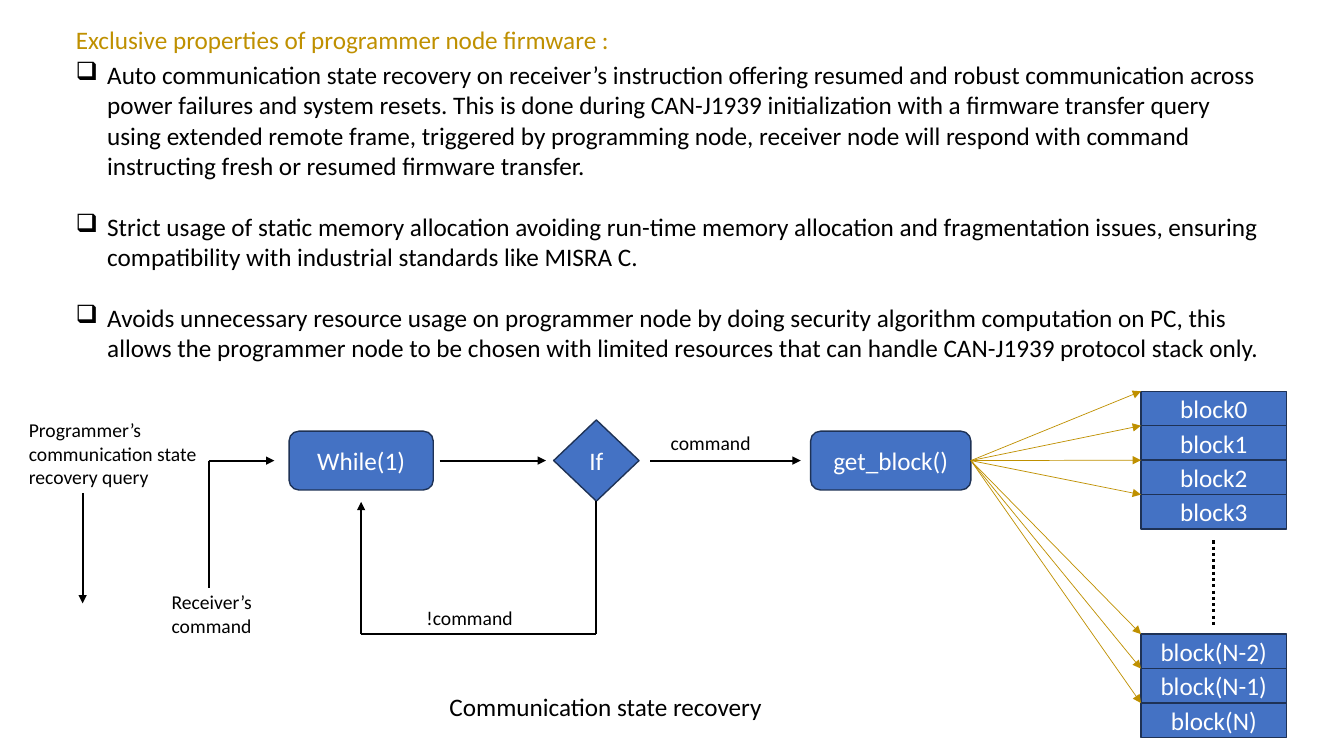
from lxml import etree
from pptx import Presentation
from pptx.dml.color import RGBColor
from pptx.enum.dml import MSO_LINE
from pptx.enum.shapes import MSO_CONNECTOR, MSO_SHAPE
from pptx.enum.text import MSO_ANCHOR as ANCHOR, MSO_AUTO_SIZE as AUTO_SIZE, PP_ALIGN as ALIGN
from pptx.oxml.ns import qn
from pptx.util import Pt

COLORS = {"gold": "BF9000", "black": "000000", "white": "FFFFFF",
          "blue": "4472C4", "navy": "1E3256"}


def write(box, paragraphs, size, color, align=ALIGN.LEFT, anchor=ANCHOR.TOP):
    frame = box.text_frame
    frame.text = "\n".join(paragraphs)
    frame.word_wrap = True
    frame.auto_size = AUTO_SIZE.NONE
    frame.vertical_anchor = anchor
    for para in frame.paragraphs:
        para.alignment = align
        for span in para.runs:
            span.font.name = "Calibri"
            span.font.size = Pt(size)
            span.font.color.rgb = RGBColor.from_string(COLORS[color])


def draw_line(x1, y1, x2, y2, color="black", width=1.5, arrow=True):
    line = page.shapes.add_connector(
        MSO_CONNECTOR.STRAIGHT, Pt(x1), Pt(y1), Pt(x2), Pt(y2))
    line.line.color.rgb = RGBColor.from_string(COLORS[color])
    line.line.width = Pt(width)
    properties = line.element.spPr
    if arrow:
        etree.SubElement(properties.find(qn("a:ln")), qn("a:tailEnd"), type="triangle")
    etree.SubElement(properties, qn("a:effectLst"))
    return line


deck = Presentation()
deck.slide_width, deck.slide_height = Pt(960), Pt(540)
page = deck.slides.add_slide(deck.slide_layouts[5])

# Title
title = page.shapes.title
title.left, title.top, title.width, title.height = Pt(47), Pt(13.5), Pt(479), Pt(29)
write(title, ["Exclusive properties of programmer node firmware :"], 18, "gold")

# Bulleted properties
properties_box = page.shapes.add_textbox(Pt(47), Pt(39), Pt(861), Pt(269))
write(properties_box, [
    "Auto communication state recovery on receiver’s instruction offering resumed and "
    "robust communication across power failures and system resets. This is done during "
    "CAN-J1939 initialization with a firmware transfer query using extended remote frame, "
    "triggered by programming node, receiver node will respond with command instructing "
    "fresh or resumed firmware transfer.",
    "Strict usage of static memory allocation avoiding run-time memory allocation and "
    "fragmentation issues, ensuring compatibility with industrial standards like MISRA C.",
    "Avoids unnecessary resource usage on programmer node by doing security algorithm "
    "computation on PC, this allows the programmer node to be chosen with limited "
    "resources that can handle CAN-J1939 protocol stack only.",
], 18, "black")
for index, para in enumerate(properties_box.text_frame.paragraphs):
    layout = para._p.get_or_add_pPr()
    layout.set("marL", str(Pt(22.5)))
    layout.set("indent", str(-Pt(22.5)))
    etree.SubElement(layout, qn("a:buChar"), char="❑")
    if index:
        para.space_before = Pt(21.8)

# Flow steps and memory blocks: parent, preset, label, left, top, width, height
FLOW_Y = 329
BLOCK_LEFT, BLOCK_WIDTH, BLOCK_HEIGHT = 815, 104, 24.6
block_groups = [(279.5, ["block0", "block1", "block2", "block3"]),
                (453, ["block(N-2)", "block(N-1)", "block(N)"])]
steps = [
    (page, MSO_SHAPE.DIAMOND, "If", 395.5, FLOW_Y - 29, 61, 58),
    (page, MSO_SHAPE.ROUNDED_RECTANGLE, "While(1)", 206.5, FLOW_Y - 21, 103, 42),
    (page, MSO_SHAPE.ROUNDED_RECTANGLE, "get_block()", 579, FLOW_Y - 21, 114.5, 42),
]
block_tops = []
for first_top, labels in block_groups:
    group = page.shapes.add_group_shape()
    for row, label in enumerate(labels):
        top = first_top + row * BLOCK_HEIGHT
        block_tops.append(top)
        steps.append((group, MSO_SHAPE.RECTANGLE, label,
                      BLOCK_LEFT, top, BLOCK_WIDTH, BLOCK_HEIGHT))

drawn = {}
for parent, preset, label, left, top, width, height in steps:
    shape = parent.shapes.add_shape(preset, Pt(left), Pt(top), Pt(width), Pt(height))
    shape.shadow.inherit = False
    shape.fill.solid()
    shape.fill.fore_color.rgb = RGBColor.from_string(COLORS["blue"])
    shape.line.color.rgb = RGBColor.from_string(COLORS["navy"])
    shape.line.width = Pt(1)
    write(shape, [label], 18, "white", ALIGN.CENTER, ANCHOR.MIDDLE)
    drawn[label] = shape

# Flow arrows
for x1, y1, x2, y2 in [
    (149, FLOW_Y, 196, FLOW_Y),
    (314, FLOW_Y, 390, FLOW_Y),
    (464.5, FLOW_Y, 572, FLOW_Y),
    (258, 453, 258, 358.5),
    (59, 352, 59, 431),
]:
    draw_line(x1, y1, x2, y2)

# Plain parts of the bent paths
draw_line(149, FLOW_Y, 149, 420, arrow=False)
draw_line(258, 453, 426, 453, arrow=False)
loop_line = draw_line(426, 358, 426, 453, arrow=False)
loop_line.begin_connect(drawn["If"], 2)

# Fan from get_block() to the top corner of each block
for top in block_tops:
    fan = draw_line(693.5, FLOW_Y, BLOCK_LEFT, top, "gold", 0.5)
    fan.begin_connect(drawn["get_block()"], 3)

# Dotted line for the omitted blocks
dots = draw_line(867, 386, 867, 447, width=2.25, arrow=False)
dots.line.dash_style = MSO_LINE.ROUND_DOT

# Labels and caption
for label, left, top, width, height, size in [
    ("Receiver’s command", 115.5, 418, 119, 41, 14),
    ("!command", 297.5, 429, 129, 24, 14),
    ("command", 472, 304.5, 93, 24, 14),
    ("Programmer’s communication state recovery query", 13.5, 295, 165, 58, 14),
    ("Communication state recovery", 314, 490, 297, 29, 18),
]:
    box = page.shapes.add_textbox(Pt(left), Pt(top), Pt(width), Pt(height))
    write(box, [label], size, "black")

deck.save("out.pptx")
